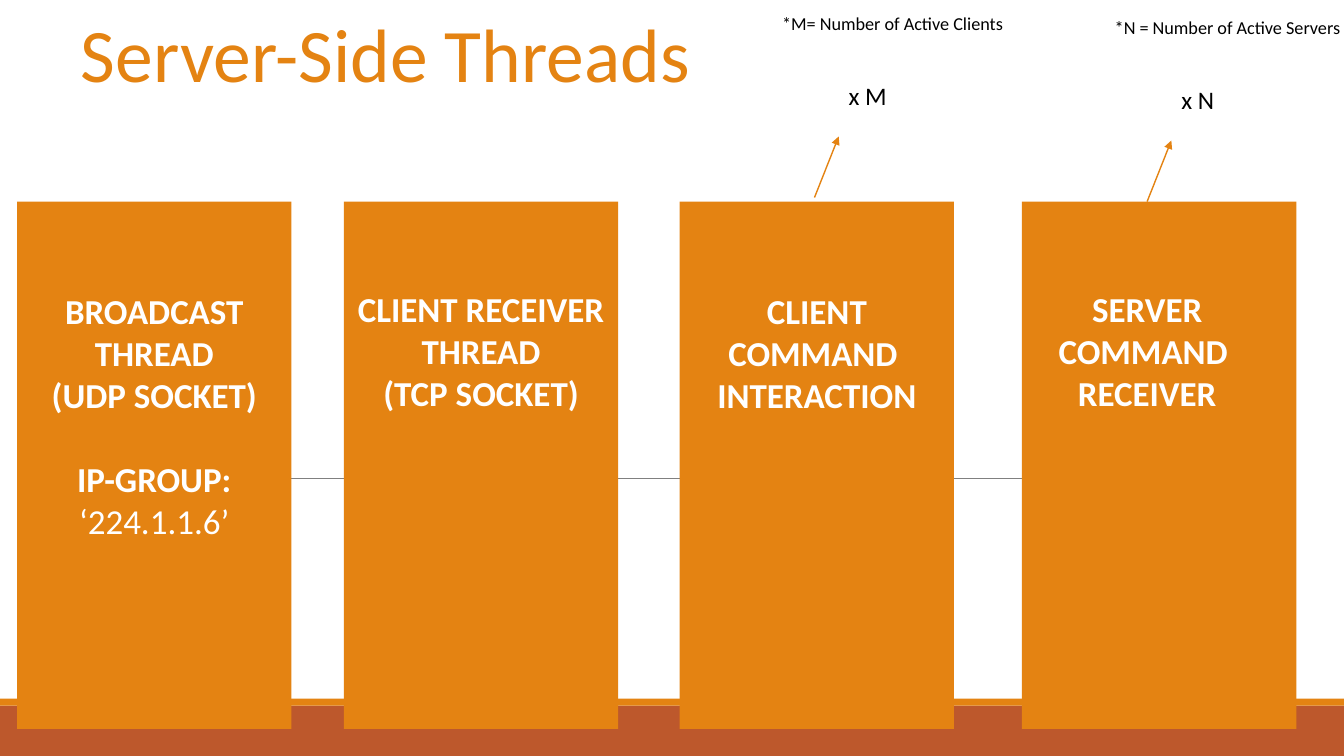
from pptx import Presentation
from pptx.dml.color import RGBColor
from pptx.enum.shapes import MSO_CONNECTOR as CONN, MSO_SHAPE as SHAPE
from pptx.enum.text import MSO_ANCHOR as ANCHOR, MSO_AUTO_SIZE as AUTO, PP_ALIGN as ALIGN
from pptx.oxml.ns import qn
from pptx.util import Pt
from lxml.etree import SubElement

ORANGE = RGBColor(0xE4, 0x83, 0x12)
RUST = RGBColor(0xBD, 0x58, 0x2C)
GRAY = RGBColor(0x80, 0x80, 0x80)
WHITE = RGBColor(0xFF, 0xFF, 0xFF)
BLACK = RGBColor(0, 0, 0)
FONT = "Calibri"
SLIDE_W, SLIDE_H = 960, 540
COL_TOP, COL_W, COL_H = 144, 196, 376.6
LABEL_W, LABEL_H = 219, 98

# column left, label centre relative to the column centre, label top, paragraphs
THREADS = [
    (12.2, 0, 203, ["BROADCAST", "THREAD\v(UDP SOCKET)", "IP-GROUP:", "‘224.1.1.6’"]),
    (245.6, 0, 201.6, ["CLIENT RECEIVER", "THREAD\v(TCP SOCKET)"]),
    (485.5, 0, 203, ["CLIENT\vCOMMAND \vINTERACTION"]),
    (730, -8.6, 201.6, ["SERVER\vCOMMAND \vRECEIVER"]),
]
# arrow start, multiplier, meaning of the multiplier
COUNTS = [
    (581.8, 141.1, "x M", "*M= Number of Active Clients"),
    (819.4, 144, "x N", "*N = Number of Active Servers"),
]


def add_rect(s, x, y, w, h, color):
    """Add a plain filled rectangle."""
    sp = s.shapes.add_shape(SHAPE.RECTANGLE, Pt(x), Pt(y), Pt(w), Pt(h))
    sp.shadow.inherit = False
    sp.fill.solid()
    sp.fill.fore_color.rgb = color
    sp.line.fill.background()


def add_line(s, x1, y1, x2, y2, color, width, arrow=False):
    """Add a straight line, with an optional arrowhead at its end."""
    cn = s.shapes.add_connector(CONN.STRAIGHT, Pt(x1), Pt(y1), Pt(x2), Pt(y2))
    cn.line.color.rgb = color
    cn.line.width = Pt(width)
    if arrow:
        SubElement(cn.line._get_or_add_ln(), qn("a:tailEnd"), type="triangle")
    SubElement(cn._element.spPr, qn("a:effectLst"))


def format_text(tf, size, color, align=ALIGN.LEFT, bold=False):
    """Give every run of a text frame the same look."""
    for p in tf.paragraphs:
        p.alignment = align
        for r in p.runs:
            r.font.name, r.font.size, r.font.bold = FONT, Pt(size), bold
            r.font.color.rgb = color


def add_text(s, x, y, w, h, paragraphs, *look):
    """Add a wrapping text box and return its text frame."""
    tf = s.shapes.add_textbox(Pt(x), Pt(y), Pt(w), Pt(h)).text_frame
    tf.word_wrap = True
    tf.text = "\n".join(paragraphs)
    format_text(tf, *look)
    return tf


def add_title(s, x, y, w, h):
    """Place and format the slide title."""
    sp = s.shapes.title
    sp.left, sp.top, sp.width, sp.height = Pt(x), Pt(y), Pt(w), Pt(h)
    tf = sp.text_frame
    tf.text = "Server-Side Threads"
    tf.auto_size = AUTO.NONE
    tf.word_wrap = False
    tf.vertical_anchor = ANCHOR.TOP
    format_text(tf, 54, ORANGE, ALIGN.CENTER)


def add_backdrop(s, w, h):
    """Draw the footer bands and the line behind the columns."""
    add_rect(s, 0, h - 36, w, 36, RUST)
    add_rect(s, 0, h - 41, w, 5, ORANGE)
    add_line(s, 95, 342, 872.6, 342, GRAY, 0.5)


def add_thread(s, x, y, w, h, shift, label_top, paragraphs):
    """Draw one thread column with its label."""
    add_rect(s, x, y, w, h, ORANGE)
    label_x = x + (w - LABEL_W) / 2 + shift
    tf = add_text(s, label_x, label_top, LABEL_W, LABEL_H, paragraphs,
                  25, WHITE, ALIGN.CENTER, True)
    for p in tf.paragraphs:
        if p.text.startswith("IP-GROUP"):
            p.space_before = Pt(30)
        elif p.text.startswith("‘"):
            p.runs[0].font.bold = False


def add_count(s, x, y, count, note):
    """Draw the arrow from (x, y) to a multiplier, with its note above."""
    add_line(s, x, y, x + 17.3, y - 43.6, ORANGE, 1, arrow=True)
    add_text(s, x + 17.3, y - 87, 69, 29, [count], 18, BLACK)
    add_text(s, x - 30.2, y - 135.6, 196.6, 23, [note], 13, BLACK)


def build_slide(prs):
    """Build the slide of server threads."""
    s = prs.slides.add_slide(prs.slide_layouts[5])
    add_backdrop(s, SLIDE_W, SLIDE_H)
    add_title(s, 47.5, 1.4, 455.8, 72.7)
    for left, *label in THREADS:
        add_thread(s, left, COL_TOP, COL_W, COL_H, *label)
    for count in COUNTS:
        add_count(s, *count)


prs = Presentation()
prs.slide_width, prs.slide_height = Pt(SLIDE_W), Pt(SLIDE_H)
build_slide(prs)
prs.save("out.pptx")
